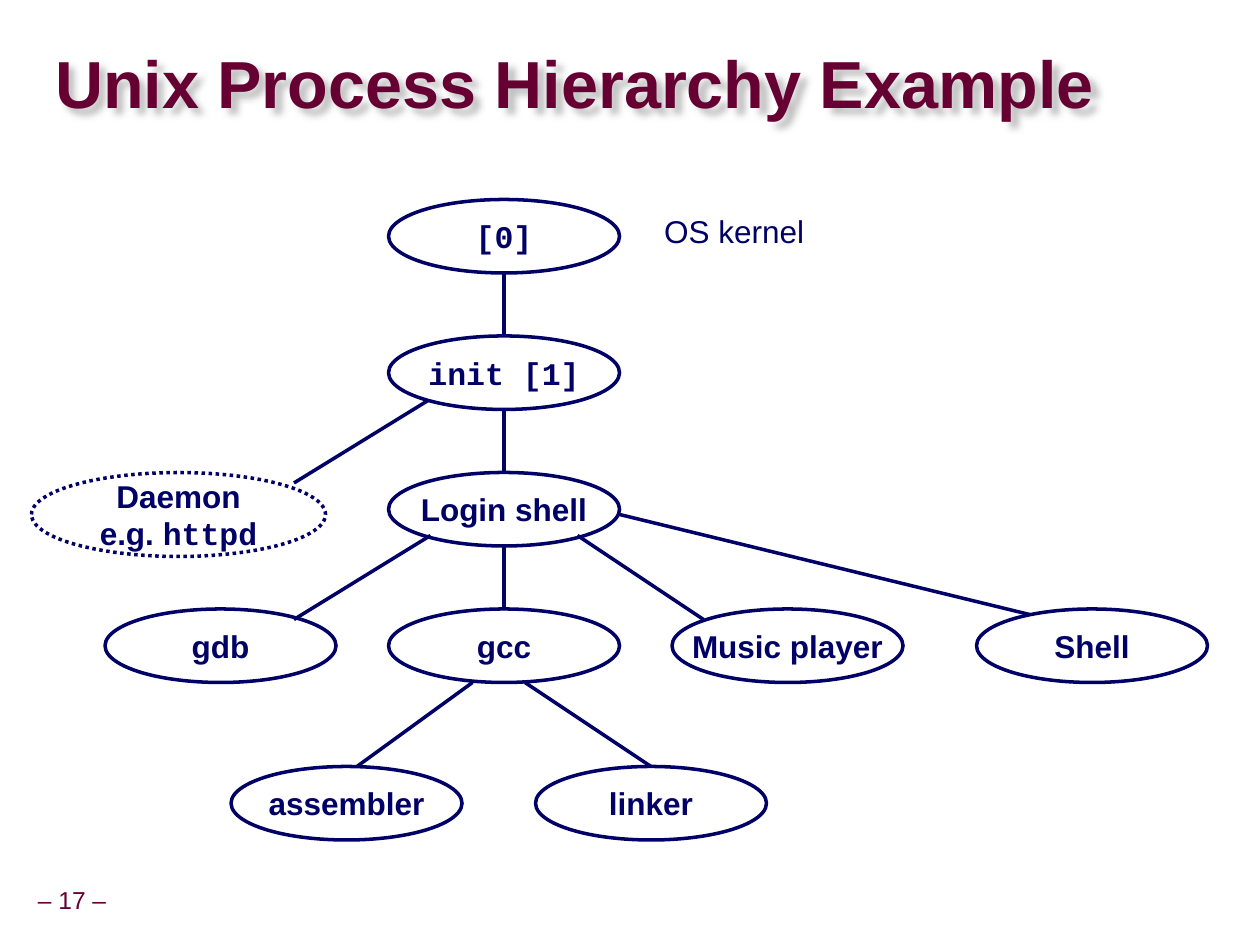
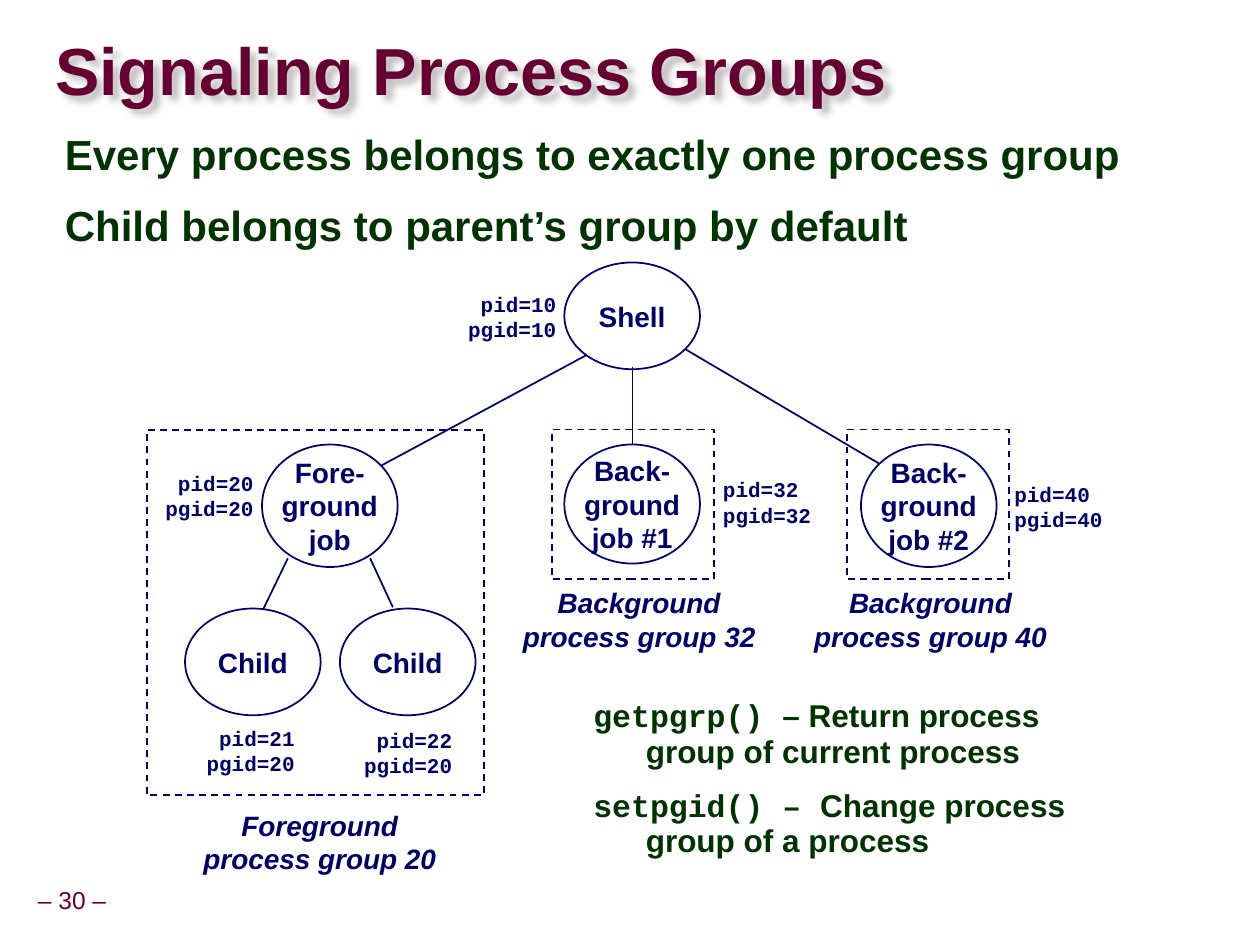
"""Builds two slides on process hierarchies and process groups."""
from dataclasses import dataclass

from lxml import etree
from pptx import Presentation
from pptx import util as u
from pptx.dml import color
from pptx.enum import dml, shapes, text
from pptx.oxml import ns

LEFT, CENTER, RIGHT = text.PP_ALIGN.LEFT, text.PP_ALIGN.CENTER, text.PP_ALIGN.RIGHT
MIDDLE, TOP = text.MSO_ANCHOR.MIDDLE, text.MSO_ANCHOR.TOP
DASH, DOT = dml.MSO_LINE.DASH, dml.MSO_LINE.ROUND_DOT
OVAL, RECT = shapes.MSO_SHAPE.OVAL, shapes.MSO_SHAPE.RECTANGLE


@dataclass(frozen=True)
class Theme:
    """Colours, fonts and type sizes of the whole deck."""
    wine: color.RGBColor = color.RGBColor(0x66, 0x00, 0x33)
    navy: color.RGBColor = color.RGBColor(0x00, 0x00, 0x66)
    green: color.RGBColor = color.RGBColor(0x00, 0x33, 0x00)
    white: color.RGBColor = color.RGBColor(0xFF, 0xFF, 0xFF)
    shadow: str = "C0C0C0"
    sans: str = "Arial"
    mono: str = "Courier New"
    title: int = 38
    points: int = 24
    node: int = 18
    job: int = 16
    footer: int = 14
    pid: int = 12


THEME = Theme()


class Deck:
    """Holds the style and the slide being drawn."""

    def __init__(self, theme):
        """Starts an empty 4:3 deck."""
        self.theme = theme
        self.show = Presentation()
        self.show.slide_width, self.show.slide_height = u.Pt(720), u.Pt(540)
        self.weight = 1
        self.size = theme.job

    def add_slide(self, title, top, number, weight, size):
        """Opens a slide with title, page number and its node style."""
        self.slide = self.show.slides.add_slide(self.show.slide_layouts[5])
        self.weight, self.size = weight, size
        heading = self.slide.shapes.title
        for side, length in dict(left=31.5, top=top, width=686, height=61).items():
            setattr(heading, side, u.Pt(length))
        self.set_text(heading, [title], self.theme.title, self.theme.wine,
                      align=LEFT, spacing=0.87, inset=(0, 0), wrap=True)
        self.cast_shadow(heading)
        self.label((17.5, 504, 47.5, 22.5), [f"– {number} –"], self.theme.footer,
                   self.theme.wine, bold=False, spacing=0.9, inset=(3.6, 3.6))

    def cast_shadow(self, shape):
        """Gives a shape a soft shadow to the lower right."""
        effects = etree.SubElement(shape._element.spPr, ns.qn("a:effectLst"))
        outer = etree.SubElement(effects, ns.qn("a:outerShdw"), blurRad="50800",
                                 dist="53900", dir="2700000", algn="ctr")
        etree.SubElement(outer, ns.qn("a:srgbClr"), val=self.theme.shadow)

    def set_text(self, shape, lines, size, ink, align=CENTER, anchor=MIDDLE, font=None,
                 bold=True, italic=False, spacing=1.0, inset=(7.2, 3.6), wrap=False,
                 gap=0, hanging=0):
        """Fills a shape with paragraphs, each a string or (text, font) runs."""
        frame = shape.text_frame
        across, down = map(u.Pt, inset)
        layout = dict(auto_size=text.MSO_AUTO_SIZE.NONE, word_wrap=wrap,
                      vertical_anchor=anchor, margin_left=across,
                      margin_right=across, margin_top=down, margin_bottom=down)
        for name, value in layout.items():
            setattr(frame, name, value)
        for index, line in enumerate(lines):
            paragraph = frame.add_paragraph() if index else frame.paragraphs[0]
            before = u.Pt(gap if index else 0)
            for name, value in dict(alignment=align, line_spacing=spacing,
                                    space_before=before).items():
                setattr(paragraph, name, value)
            if hanging:
                margins = paragraph._p.get_or_add_pPr()
                margins.set("marL", str(u.Pt(hanging)))
                margins.set("indent", str(-u.Pt(hanging)))
            parts = [(line, font)] if isinstance(line, str) else line
            for words, face in parts:
                run = paragraph.add_run()
                run.text = words
                look = dict(name=face or self.theme.sans, size=u.Pt(size),
                            bold=bold, italic=italic)
                for name, value in look.items():
                    setattr(run.font, name, value)
                run.font.color.rgb = ink

    def label(self, box, lines, size, ink, **look):
        """Adds a text box."""
        area = self.slide.shapes.add_textbox(*map(u.Pt, box))
        self.set_text(area, lines, size, ink, **look)

    def points(self, box, lines, size):
        """Adds green statements with a hanging indent."""
        self.label(box, lines, size, self.theme.green, align=LEFT, anchor=TOP,
                   spacing=0.95, wrap=True, gap=0.55 * size, hanging=30)

    def outline(self, kind, box, dash=None):
        """Adds a navy outline without fill."""
        edge = self.slide.shapes.add_shape(kind, *map(u.Pt, box))
        edge.shadow.inherit = False
        edge.fill.background()
        edge.line.color.rgb = self.theme.navy
        edge.line.width = u.Pt(self.weight)
        if dash:
            edge.line.dash_style = dash
        return edge

    def node(self, box, lines, font=None, dash=None):
        """Adds a white process ellipse."""
        process = self.outline(OVAL, box, dash)
        process.fill.solid()
        process.fill.fore_color.rgb = self.theme.white
        self.set_text(process, lines, self.size, self.theme.navy, font=font)

    def link(self, *ends):
        """Adds a straight line from parent to child."""
        branch = self.slide.shapes.add_connector(
            shapes.MSO_CONNECTOR.STRAIGHT, *map(u.Pt, ends))
        branch.line.color.rgb = self.theme.navy
        branch.line.width = u.Pt(self.weight)
        etree.SubElement(branch._element.spPr, ns.qn("a:effectLst"))

    def pids(self, left, top, pid, group, align=RIGHT):
        """Adds the process and group numbers of a process."""
        self.label((left, top, 65, 36), [f"pid={pid}", f"pgid={group}"],
                   self.theme.pid, self.theme.navy, font=self.theme.mono, align=align)

    def group(self, frame, caption, kind, number):
        """Adds a dashed group frame and its caption."""
        self.outline(RECT, frame, DASH)
        self.label((*caption, 147.5, 46), [kind, f"process group {number}"],
                   self.theme.job, self.theme.navy, italic=True)


def draw_hierarchy(deck):
    """Draws the tree of Unix processes."""
    mono = deck.theme.mono
    deck.add_slide("Unix Process Hierarchy Example", 19.5, 17, 2, deck.theme.node)
    width, height, step, trunk, first = 132, 42, 78, 222, 114
    rows = [first + step * level for level in range(4)]
    leaves = 438
    for left, top, name, font in (
            (trunk, rows[0], "[0]", mono), (trunk, rows[2], "Login shell", None),
            (60, rows[3], "gdb", None), (trunk, rows[3], "gcc", None),
            (384, rows[3], "Music player", None),
            (132, leaves, "assembler", None), (306, leaves, "linker", None)):
        deck.node((left, top, width, height), [name], font)
    middle = trunk + width / 2
    for upper, lower in zip(rows, rows[1:]):
        deck.link(middle, upper + height, middle, lower)
    for ends in ((246, 306, 168, 354), (330, 306, 402, 354),
                 (300, 390, 372, leaves), (270, 390, 204, leaves),
                 (246, 228, 168, 276), (354, 294, 600, 354)):
        deck.link(*ends)
    deck.node((18, rows[2], 168, 48), ["Daemon", [("e.g. ", None), ("httpd", mono)]],
              dash=DOT)
    deck.node((trunk, rows[1], width, height), ["init [1]"], mono)
    deck.node((558, rows[3], width, height), ["Shell"])
    deck.label((372, 120, 95, 27), ["OS kernel"], deck.theme.node, deck.theme.navy,
               bold=False, spacing=0.9, anchor=TOP)


def draw_groups(deck):
    """Draws the shell, its jobs and their process groups."""
    sans, mono = deck.theme.sans, deck.theme.mono
    deck.add_slide("Signaling Process Groups", 12, 30, 1, deck.theme.job)
    deck.points((30, 72, 672, 108),
                ["Every process belongs to exactly one process group",
                 "Child belongs to parent’s group by default"], deck.theme.points)
    for left, top, height, lines in (
            (149.75, 254, 70, ["Fore-", "ground", "job"]),
            (322.5, 254, 68, ["Back-", "ground", "job #1"]),
            (492, 254, 70, ["Back-", "ground", "job #2"]),
            (322.5, 150, 61, ["Shell"]),
            (105.75, 347.75, 61, ["Child"]), (194.25, 347.75, 61, ["Child"])):
        deck.node((left, top, 77.5, height), lines)
    for ends in ((164.5, 319, 150.5, 348), (211.5, 319, 224.5, 347),
                 (361.5, 210, 361.5, 254), (335, 203, 218, 266),
                 (391.5, 199.5, 502.5, 265)):
        deck.link(*ends)
    top = 245.5
    deck.group((84, top, 192.5, 209), (109, 458), "Foreground", 20)
    deck.group((315.5, top, 92.5, 85.5), (291.5, 331), "Background", 32)
    deck.group((484, top, 92.5, 85.5), (458, 331), "Background", 40)
    for place in ((260, 163, 10, 10), (87, 265, 20, 20), (110.5, 411, 21, 20),
                  (200.5, 412, 22, 20), (406, 269, 32, 32, LEFT),
                  (572.5, 271.5, 40, 40, LEFT)):
        deck.pids(*place)
    deck.points((332, 396, 288, 108),
                [[("getpgrp() ", mono), ("– Return process group of current process", sans)],
                 [("setpgid() – ", mono), ("Change process group of a process", sans)]],
                deck.theme.node)


deck = Deck(THEME)
draw_hierarchy(deck)
draw_groups(deck)
deck.show.save("out.pptx")
